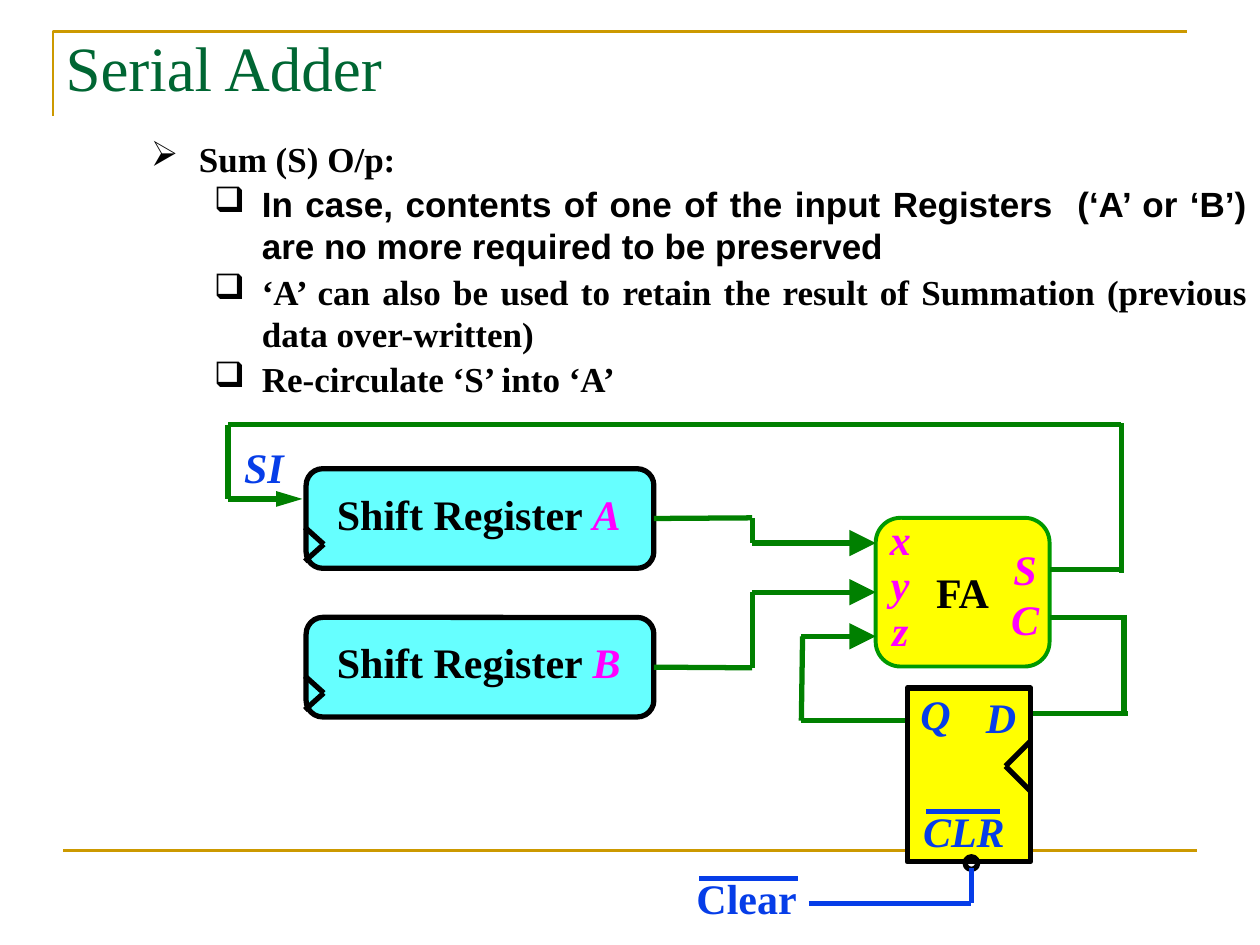
"""Build the Serial Adder slide with its block diagram."""
from dataclasses import dataclass
from typing import Any, Optional

from lxml.etree import SubElement
from pptx import Presentation
from pptx.dml.color import RGBColor
from pptx.enum.shapes import MSO_CONNECTOR, MSO_SHAPE
from pptx.enum.text import MSO_ANCHOR as Anchor, PP_ALIGN as Align
from pptx.oxml.ns import qn
from pptx.util import Inches, Pt

COLORS = {
    "gold": "CC9900", "title": "006633", "black": "000000", "edge": "009900",
    "wire": "008000", "yellow": "FFFF00", "cyan": "66FFFF",
    "magenta": "FF00FF", "blue": "063DE8",
}
SERIF = "Times New Roman"
LABEL_FONT = {"name": SERIF, "size": Pt(24), "bold": True}
NO_MARGINS = {f"margin_{side}": 0 for side in ("left", "top", "right", "bottom")}
BULLET_INDENT = 0.38


@dataclass
class Bullet:
    text: str
    symbol: str = "❑"
    margin: float = 0.88
    level: int = 1
    before: float = 2
    font: str = SERIF


@dataclass
class Block:
    left: float
    top: float
    width: float
    height: float
    fill: Optional[str]
    line: str = "black"
    weight: float = 3
    preset: MSO_SHAPE = MSO_SHAPE.ROUNDED_RECTANGLE


@dataclass
class Wire:
    x1: float
    y1: float
    x2: float
    y2: float
    color: str = "wire"
    arrow: Optional[str] = None
    weight: float = 3
    source: Any = None
    target: Any = None


@dataclass
class Label:
    left: float
    top: float
    width: float
    lines: tuple[str, ...]
    color: str = "blue"
    italic: bool = True
    spacing: float = 0.9


BULLETS = [
    Bullet("Sum (S) O/p:", "➢", BULLET_INDENT, 0, 0),
    Bullet("In case, contents of one of the input Registers  (‘A’ or ‘B’) "
           "are no more required to be preserved", font="Arial"),
    Bullet("‘A’ can also be used to retain the result of Summation "
           "(previous data over-written)"),
    Bullet("Re-circulate ‘S’ into ‘A’"),
]
LABELS = [
    Label(6.95, 4.12, 0.39, ("x", "y", "z"), "magenta"),
    Label(7.94, 4.31, 0.39, ("S", "C"), "magenta", spacing=1.0),
    Label(7.23, 5.51, 0.39, ("Q",)),
    Label(7.75, 5.53, 0.39, ("D",)),
    Label(7.16, 6.44, 0.98, ("CLR",)),
    Label(5.43, 6.97, 0.99, ("Clear",), italic=False),
    Label(1.9, 3.55, 0.39, ("SI",)),
]


def rgb(name: str) -> RGBColor:
    return RGBColor.from_string(COLORS[name])


def apply_format(target: Any, values: dict[str, Any]) -> None:
    for name, value in values.items():
        setattr(target, name, value)


def add_run(paragraph: Any, text: str, color: str, values: dict[str, Any]) -> None:
    run = paragraph.add_run()
    run.text = text
    apply_format(run.font, values)
    run.font.color.rgb = rgb(color)


def add_text_frame(slide: Any, left: float, top: float, width: float, height: float) -> Any:
    box = slide.shapes.add_textbox(Inches(left), Inches(top), Inches(width), Inches(height))
    box.text_frame.word_wrap = True
    return box.text_frame


def draw_bullets(slide: Any, bullets: list[Bullet]) -> None:
    frame = add_text_frame(slide, 1.1, 1.04, 8.9, 2.25)
    for index, bullet in enumerate(bullets):
        paragraph = frame.add_paragraph() if index else frame.paragraphs[0]
        properties = paragraph._p.get_or_add_pPr()
        properties.set("marL", str(Inches(bullet.margin)))
        properties.set("indent", str(-Inches(BULLET_INDENT)))
        bullet_color = SubElement(properties, qn("a:buClr"))
        SubElement(bullet_color, qn("a:srgbClr"), val=COLORS["black"])
        SubElement(properties, qn("a:buChar"), char=bullet.symbol)
        apply_format(paragraph, {"alignment": Align.JUSTIFY, "level": bullet.level,
                                 "space_before": Pt(bullet.before)})
        add_run(paragraph, bullet.text, "black",
                {"name": bullet.font, "size": Pt(20), "bold": True})


def draw_block(slide: Any, block: Block) -> Any:
    shape = slide.shapes.add_shape(block.preset, Inches(block.left), Inches(block.top),
                                   Inches(block.width), Inches(block.height))
    shape.shadow.inherit = False
    if block.fill:
        shape.fill.solid()
        shape.fill.fore_color.rgb = rgb(block.fill)
    else:
        shape.fill.background()
    shape.line.color.rgb = rgb(block.line)
    shape.line.width = Pt(block.weight)
    return shape


def draw_wire(slide: Any, wire: Wire) -> None:
    ends = (Inches(value) for value in (wire.x1, wire.y1, wire.x2, wire.y2))
    connector = slide.shapes.add_connector(MSO_CONNECTOR.STRAIGHT, *ends)
    connector.line.color.rgb = rgb(wire.color)
    connector.line.width = Pt(wire.weight)
    if wire.arrow:
        SubElement(connector.line._get_or_add_ln(), qn("a:tailEnd"),
                   type="triangle", w=wire.arrow, len="lg")
    SubElement(connector._element.spPr, qn("a:effectLst"))
    if wire.source:
        connector.begin_connect(wire.source, 3)
    if wire.target:
        connector.end_connect(wire.target, 1)


def draw_chevron(slide: Any, tip: float, edge: float, middle: float, half: float) -> None:
    for end in (middle - half, middle + half):
        draw_wire(slide, Wire(tip, middle, edge, end, "black"))


def draw_label(slide: Any, label: Label) -> None:
    frame = add_text_frame(slide, label.left, label.top, label.width, 0.36 * len(label.lines))
    apply_format(frame, NO_MARGINS)
    for index, text in enumerate(label.lines):
        paragraph = frame.add_paragraph() if index else frame.paragraphs[0]
        apply_format(paragraph, {"alignment": Align.CENTER, "line_spacing": label.spacing})
        add_run(paragraph, text, label.color, LABEL_FONT | {"italic": label.italic})


def draw_register(slide: Any, top: float, letter: str) -> Any:
    register = draw_block(slide, Block(2.43, top, 2.76, 0.79, "cyan"))
    frame = add_text_frame(slide, 2.62, top + 0.2, 2.36, 0.36)
    apply_format(frame, NO_MARGINS)
    paragraph = frame.paragraphs[0]
    apply_format(paragraph, {"alignment": Align.CENTER, "line_spacing": 0.9})
    add_run(paragraph, "Shift Register ", "black", LABEL_FONT)
    add_run(paragraph, letter, "magenta", LABEL_FONT | {"italic": True})
    draw_chevron(slide, 2.57, 2.42, top + 0.6, 0.135)
    return register


def draw_adder(slide: Any) -> Any:
    adder = draw_block(slide, Block(6.95, 4.11, 1.38, 1.18, "yellow", "edge", 2.25))
    frame = adder.text_frame
    apply_format(frame, NO_MARGINS | {"vertical_anchor": Anchor.MIDDLE})
    frame.paragraphs[0].alignment = Align.CENTER
    add_run(frame.paragraphs[0], "FA", "black", LABEL_FONT)
    return adder


def draw_title(slide: Any) -> None:
    corner = slide.shapes.build_freeform(Inches(0.42), Inches(0.92))
    corner.add_line_segments([(Inches(0.42), Inches(0.25)), (Inches(9.42), Inches(0.25))], False)
    rule = corner.convert_to_shape()
    rule.shadow.inherit = False
    rule.fill.background()
    rule.line.color.rgb = rgb("gold")
    rule.line.width = Pt(1.5)
    draw_wire(slide, Wire(0.5, 6.75, 9.5, 6.75, "gold", weight=1.5))
    title = slide.shapes.title
    apply_format(title, {"left": Inches(0.42), "top": Inches(0.14),
                         "width": Inches(6.58), "height": Inches(0.78)})
    title.text_frame.vertical_anchor = Anchor.MIDDLE
    title.text_frame.paragraphs[0].alignment = Align.LEFT
    add_run(title.text_frame.paragraphs[0], "Serial Adder", "title",
            {"name": SERIF, "size": Pt(36)})


def draw_diagram(slide: Any) -> None:
    adder = draw_adder(slide)
    register_a = draw_register(slide, 3.72, "A")
    register_b = draw_register(slide, 4.9, "B")
    signals = [
        Wire(5.19, 4.11, 5.97, 4.11, source=register_a), Wire(5.97, 4.11, 5.97, 4.31),
        Wire(5.97, 4.31, 6.95, 4.31, arrow="lg"),
        Wire(5.19, 5.3, 5.97, 5.3, source=register_b), Wire(5.97, 4.7, 5.97, 5.3),
        Wire(5.97, 4.7, 6.95, 4.7, arrow="lg", target=adder),
        Wire(8.33, 4.9, 8.92, 4.9), Wire(8.92, 4.88, 8.92, 5.66), Wire(8.16, 5.66, 8.95, 5.66),
        Wire(6.36, 5.72, 7.2, 5.72), Wire(6.37, 5.05, 6.36, 5.72),
        Wire(6.36, 5.05, 6.95, 5.05, arrow="lg"),
        Wire(8.33, 4.52, 8.9, 4.52), Wire(8.9, 3.36, 8.9, 4.55), Wire(1.81, 3.37, 8.9, 3.37),
        Wire(1.81, 3.37, 1.81, 3.96), Wire(1.81, 3.96, 2.4, 3.96, arrow="med"),
    ]
    clear_lines = [Wire(7.35, 6.44, 7.94, 6.44, "blue"), Wire(5.55, 6.97, 6.33, 6.97, "blue"),
                   Wire(7.71, 6.89, 7.71, 7.17, "blue"), Wire(6.42, 7.17, 7.71, 7.17, "blue")]
    for signal in signals:
        draw_wire(slide, signal)
    draw_block(slide, Block(7.2, 5.46, 0.98, 1.38, "yellow", preset=MSO_SHAPE.RECTANGLE))
    draw_chevron(slide, 7.98, 8.18, 6.08, 0.2)
    draw_block(slide, Block(7.66, 6.8, 0.1, 0.1, None, preset=MSO_SHAPE.OVAL))
    for clear_line in clear_lines:
        draw_wire(slide, clear_line)
    for label in LABELS:
        draw_label(slide, label)


def main() -> None:
    deck = Presentation()
    deck.slide_width, deck.slide_height = Inches(10), Inches(7.5)
    slide = deck.slides.add_slide(deck.slide_layouts[5])
    draw_title(slide)
    draw_bullets(slide, BULLETS)
    draw_diagram(slide)
    deck.save("out.pptx")


if __name__ == "__main__":
    main()
